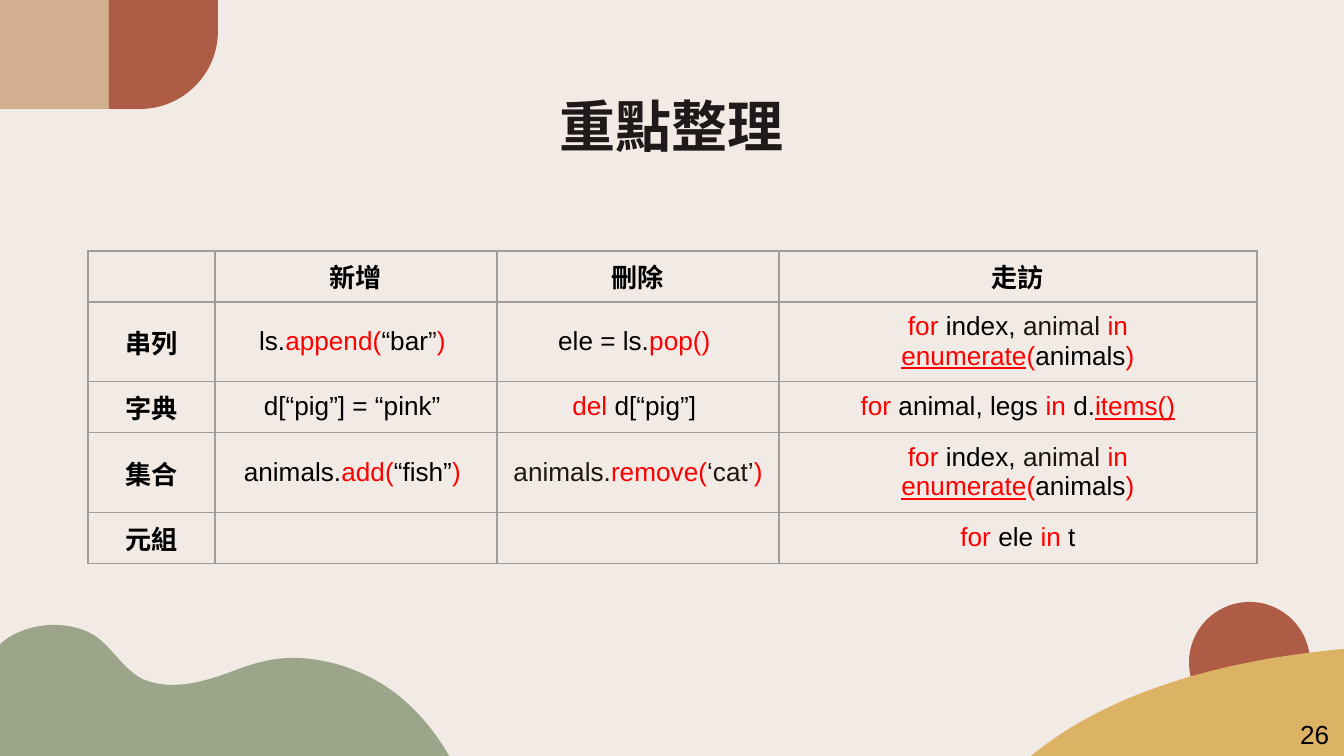
"""Build a summary slide comparing operations on Python collections."""
from dataclasses import dataclass

from lxml.etree import SubElement
from pptx import Presentation
from pptx.dml.color import RGBColor
from pptx.enum.shapes import MSO_SHAPE
from pptx.enum.text import MSO_ANCHOR, PP_ALIGN
from pptx.oxml.ns import qn
from pptx.util import Emu, Pt

SLIDE_WIDTH, SLIDE_HEIGHT = 1344, 756
EMU_PER_PX = 9144000 / SLIDE_WIDTH
BLACK, RED, INK = "000000", "FF0000", "1F1610"
CREAM, SAGE, RUST, GOLD, SAND = "F1EAE5", "9CA589", "AF5C46", "DCB364", "D3AF92"
GRID_COLOR = "9E9E9E"
TABLE_LEFT, TABLE_TOP = 88, 251
COLUMN_WIDTHS = [127, 282, 282, 478]
ROW_HEIGHT = 51

Point = tuple[int, int]


@dataclass(frozen=True)
class Run:
    text: str
    color: str = BLACK
    underline: bool = False


@dataclass(frozen=True)
class Outline:
    """Segments hold one point for a line or three for a Bézier curve."""
    color: str
    start: Point
    segments: list[list[Point]]


@dataclass(frozen=True)
class Block:
    preset: MSO_SHAPE
    color: str
    left: int
    top: int
    size: int


BLOB = Outline(SAGE, (54, 625), [
    [(31, 625), (7, 634), (-5, 650)],
    [(-3, 763)],
    [(19, 763), (39, 762), (60, 762)],
    [(172, 762), (282, 765), (394, 765)],
    [(414, 765), (434, 765), (454, 765)],
    [(438, 734), (414, 704), (382, 684)],
    [(356, 668), (324, 658), (293, 658)],
    [(284, 658), (275, 659), (266, 661)],
    [(245, 665), (226, 675), (206, 680)],
    [(195, 683), (183, 685), (172, 685)],
    [(161, 685), (152, 683), (142, 679)],
    [(124, 669), (114, 651), (98, 638)],
    [(86, 629), (70, 625), (54, 625)],
])
HILL = Outline(GOLD, (1031, 756), [
    [(1077, 718), (1168, 665), (1344, 649)],
    [(1344, 756)],
    [(1031, 756)],
])
ROUNDED_CORNER = Outline(RUST, (218, 31), [
    [(218, 74), (183, 109), (140, 109)],
    [(109, 109)],
    [(109, 0)],
    [(218, 0)],
])
DECORATIONS = [
    BLOB,
    Block(MSO_SHAPE.OVAL, RUST, 1189, 602, 121),
    HILL,
    Block(MSO_SHAPE.RECTANGLE, SAND, 0, 0, 109),
    ROUNDED_CORNER,
]

ENUMERATE_LOOP = [
    Run("for ", RED), Run("index, "), Run("animal ", INK), Run("in ", RED),
    Run("enumerate", RED, True), Run("(", RED), Run("animals"), Run(")", RED),
]
ROWS = [
    [[], [Run("新增")], [Run("刪除")], [Run("走訪")]],
    [[Run("串列")],
     [Run("ls."), Run("append(", RED), Run("“bar"), Run("”", INK), Run(") ", RED)],
     [Run("ele = ls."), Run("pop() ", RED)],
     ENUMERATE_LOOP],
    [[Run("字典")],
     [Run("d[“pig”] = “pink” ")],
     [Run("del", RED), Run(" d[“pig”] ")],
     [Run("for", RED), Run(" animal, legs "), Run("in ", RED), Run("d."),
      Run("items()", RED, True)]],
    [[Run("集合")],
     [Run("animals."), Run("add(", RED), Run("“fish”"), Run(") ", RED)],
     [Run("animals.", INK), Run("remove(", RED), Run("‘cat’", INK), Run(") ", RED)],
     ENUMERATE_LOOP],
    [[Run("元組")], [], [],
     [Run("for ", RED), Run("ele "), Run("in", RED), Run(" t")]],
]


def px(length: int) -> Emu:
    return Emu(round(length * EMU_PER_PX))


def rgb(color: str) -> RGBColor:
    return RGBColor.from_string(color)


def paint(shape, color: str) -> None:
    shape.shadow.inherit = False
    shape.fill.solid()
    shape.fill.fore_color.rgb = rgb(color)
    shape.line.fill.background()


def draw_outline(slide, outline: Outline) -> None:
    vertices = [(px(x), px(y)) for segment in outline.segments for x, y in segment]
    builder = slide.shapes.build_freeform(*map(px, outline.start))
    builder.add_line_segments(vertices, close=True)
    shape = builder.convert_to_shape()
    lines = iter(list(shape._element.iter(qn("a:lnTo"))))
    for segment in outline.segments:
        first, *others = [next(lines) for _ in segment]
        if others:
            first.tag = qn("a:cubicBezTo")
            for line in others:
                first.append(line[0])
                line.getparent().remove(line)
    paint(shape, outline.color)


def draw_block(slide, block: Block) -> None:
    bounds = map(px, (block.left, block.top, block.size, block.size))
    paint(slide.shapes.add_shape(block.preset, *bounds), block.color)


def write_text(paragraph, text: str, *, size: int = 14, font: str = "Arial",
               color: str = BLACK, bold: bool = False, underline: bool = False) -> None:
    run = paragraph.add_run()
    run.text = text
    run.font.size = Pt(size)
    run.font.name = font
    run.font.color.rgb = rgb(color)
    run.font.bold = bold
    run.font.underline = underline


def add_text_box(slide, left: int, top: int, width: int, height: int, text: str, *,
                 inset: int = 7, align: PP_ALIGN = PP_ALIGN.LEFT, **text_format) -> None:
    box = slide.shapes.add_textbox(*map(px, (left, top, width, height)))
    frame = box.text_frame
    frame.word_wrap = True
    frame.margin_top = frame.margin_bottom = px(inset)
    paragraph = frame.paragraphs[0]
    paragraph.alignment = align
    write_text(paragraph, text, **text_format)


def set_borders(cell, color: str) -> None:
    properties = cell._tc.get_or_add_tcPr()
    for position, side in enumerate(("lnL", "lnR", "lnT", "lnB")):
        line = SubElement(properties, qn(f"a:{side}"), w=str(Pt(0.75)))
        fill = SubElement(line, qn("a:solidFill"))
        SubElement(fill, qn("a:srgbClr"), val=color)
        properties.insert(position, line)


def add_summary_table(slide) -> None:
    frame = slide.shapes.add_table(
        len(ROWS), len(COLUMN_WIDTHS), px(TABLE_LEFT), px(TABLE_TOP),
        px(sum(COLUMN_WIDTHS)), px(ROW_HEIGHT * len(ROWS)))
    table = frame.table
    table.first_row = table.horz_banding = False
    for column, width in zip(table.columns, COLUMN_WIDTHS):
        column.width = px(width)
    for row_index, row in enumerate(ROWS):
        table.rows[row_index].height = px(ROW_HEIGHT)
        for column_index, runs in enumerate(row):
            is_header = row_index == 0 or column_index == 0
            cell = table.cell(row_index, column_index)
            cell.fill.background()
            set_borders(cell, GRID_COLOR)
            cell.vertical_anchor = MSO_ANCHOR.MIDDLE
            cell.margin_left = cell.margin_right = px(13)
            is_code = runs and not is_header
            cell.margin_top, cell.margin_bottom = (px(8), px(9)) if is_code else (px(5), px(5))
            paragraph = cell.text_frame.paragraphs[0]
            paragraph.alignment = PP_ALIGN.CENTER
            for run in runs:
                write_text(paragraph, run.text, color=run.color, bold=is_header,
                           underline=run.underline)


def main() -> None:
    presentation = Presentation()
    presentation.slide_width, presentation.slide_height = px(SLIDE_WIDTH), px(SLIDE_HEIGHT)
    slide = presentation.slides.add_slide(presentation.slide_layouts[6])
    slide.background.fill.solid()
    slide.background.fill.fore_color.rgb = rgb(CREAM)
    for decoration in DECORATIONS:
        draw = draw_outline if isinstance(decoration, Outline) else draw_block
        draw(slide, decoration)
    add_text_box(slide, 105, 79, 1133, 70, "重點整理", inset=13, align=PP_ALIGN.CENTER,
                 size=30, font="Manrope", color="1F191A", bold=True)
    add_text_box(slide, 1287, 711, 58, 46, "26")
    add_summary_table(slide)
    presentation.save("out.pptx")


if __name__ == "__main__":
    main()
